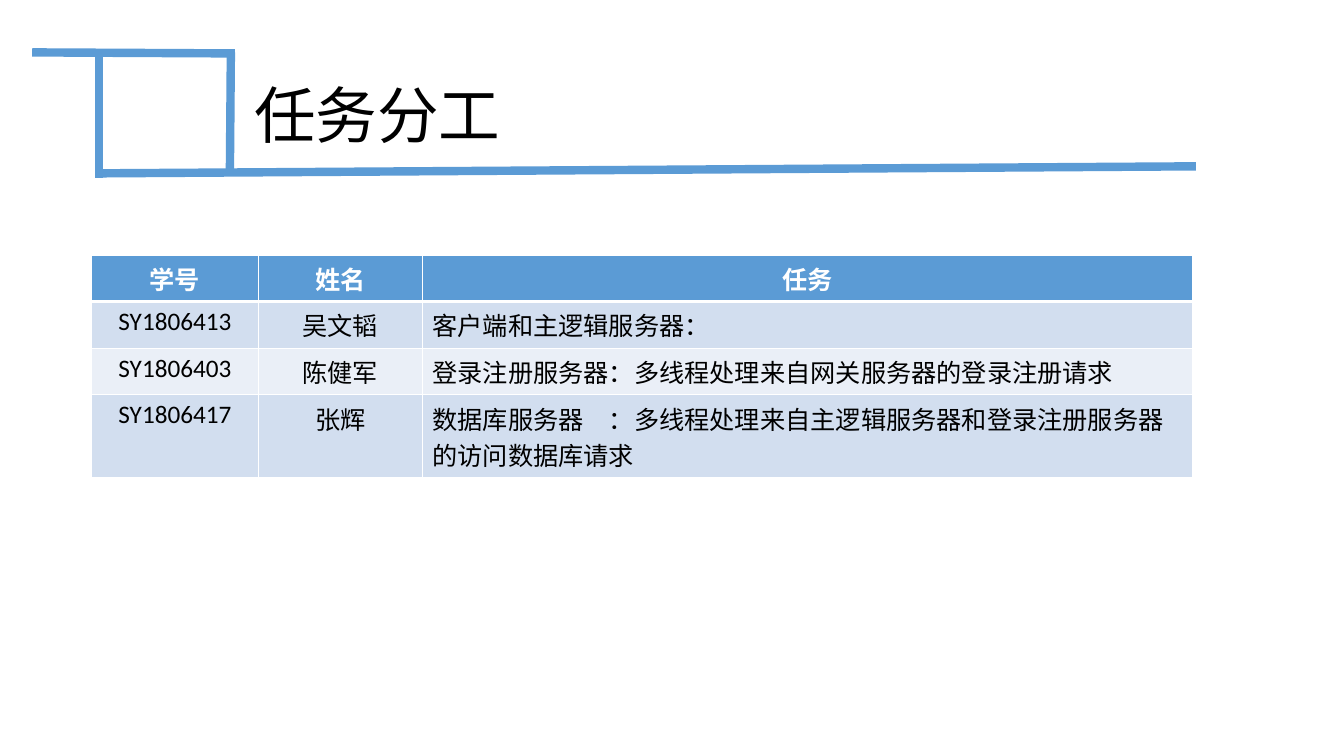
"""Build the task assignment slide with its frame lines and table."""
from lxml import etree
from pptx import Presentation
from pptx import util as u
from pptx.dml.color import RGBColor
from pptx.enum import shapes, text
from pptx.oxml import ns

BLUE = RGBColor(0x5B, 0x9B, 0xD5)
BAND = RGBColor(0xD2, 0xDE, 0xEF)
PALE = RGBColor(0xEA, 0xEF, 0xF7)
WHITE = RGBColor(0xFF, 0xFF, 0xFF)
BLACK = RGBColor(0x00, 0x00, 0x00)
FONT = "Calibri"

FRAME = [
    (0.32, 0.52, 2.33, 0.53),
    (0.98, 0.53, 0.98, 1.77),
    (0.98, 1.72, 11.86, 1.65),
    (2.29, 0.52, 2.28, 1.72),
]
WIDTHS = [1.65, 1.63, 7.64]
ROWS = [
    ("学号", "姓名", "任务"),
    ("SY1806413", "吴文韬", "客户端和主逻辑服务器："),
    ("SY1806403", "陈健军", "登录注册服务器：多线程处理来自网关服务器的登录注册请求"),
    ("SY1806417", "张辉",
     "数据库服务器　：多线程处理来自主逻辑服务器和登录注册服务器的访问数据库请求"),
]


def write(frame, words, size=18, color=BLACK, bold=False, center=False, space=None):
    """Put one formatted paragraph in a text frame."""
    para = frame.paragraphs[0]
    para.alignment = text.PP_ALIGN.CENTER if center else text.PP_ALIGN.LEFT
    para.line_spacing = space
    run = para.add_run()
    run.text = words
    font = run.font
    font.name, font.size, font.bold = FONT, u.Pt(size), bold
    font.color.rgb = color


def add_line(slide, ends):
    """Draw one thick frame line."""
    line = slide.shapes.add_connector(
        shapes.MSO_CONNECTOR.STRAIGHT, *[u.Inches(n) for n in ends])
    line.line.color.rgb = BLUE
    line.line.width = u.Pt(6)
    etree.SubElement(line._element.spPr, ns.qn("a:effectLst"))


def add_title(slide, words):
    """Place and fill the title."""
    title = slide.shapes.title
    title.left, title.top = u.Inches(2.42), u.Inches(0.45)
    title.width, title.height = u.Inches(9.56), u.Inches(1.45)
    frame = title.text_frame
    frame.auto_size = text.MSO_AUTO_SIZE.NONE
    frame.vertical_anchor = text.MSO_ANCHOR.MIDDLE
    write(frame, words, size=44, space=0.9)


def add_edge(cell, side, width):
    """Draw one white cell border."""
    props = cell._tc.get_or_add_tcPr()
    edge = etree.SubElement(props, ns.qn("a:ln" + side), w=str(u.Pt(width)))
    fill = etree.SubElement(edge, ns.qn("a:solidFill"))
    etree.SubElement(fill, ns.qn("a:srgbClr"), val=str(WHITE))


def fill_cell(cell, words, row, col):
    """Write and style one cell by its place in the table."""
    head = row == 0
    write(cell.text_frame, words, color=WHITE if head else BLACK,
          bold=head, center=head or col < 2)
    for side in "LRTB":
        thick = (head and side == "B") or (row == 1 and side == "T")
        add_edge(cell, side, 3 if thick else 1)
    cell.fill.solid()
    cell.fill.fore_color.rgb = BLUE if head else BAND if row % 2 else PALE


def add_grid(slide):
    """Add the task table."""
    high = u.Inches(0.41)
    grid = slide.shapes.add_table(
        len(ROWS), len(WIDTHS), u.Inches(0.91), u.Inches(2.53),
        u.Inches(sum(WIDTHS)), high * len(ROWS)).table
    for col, width in enumerate(WIDTHS):
        grid.columns[col].width = u.Inches(width)
    for row, items in enumerate(ROWS):
        grid.rows[row].height = high
        for col, words in enumerate(items):
            fill_cell(grid.cell(row, col), words, row, col)


def main():
    """Build and save the deck."""
    deck = Presentation()
    deck.slide_width, deck.slide_height = u.Inches(13.33), u.Inches(7.5)
    slide = deck.slides.add_slide(deck.slide_layouts[5])
    for ends in FRAME:
        add_line(slide, ends)
    add_title(slide, "任务分工")
    add_grid(slide)
    deck.save("out.pptx")


if __name__ == "__main__":
    main()
